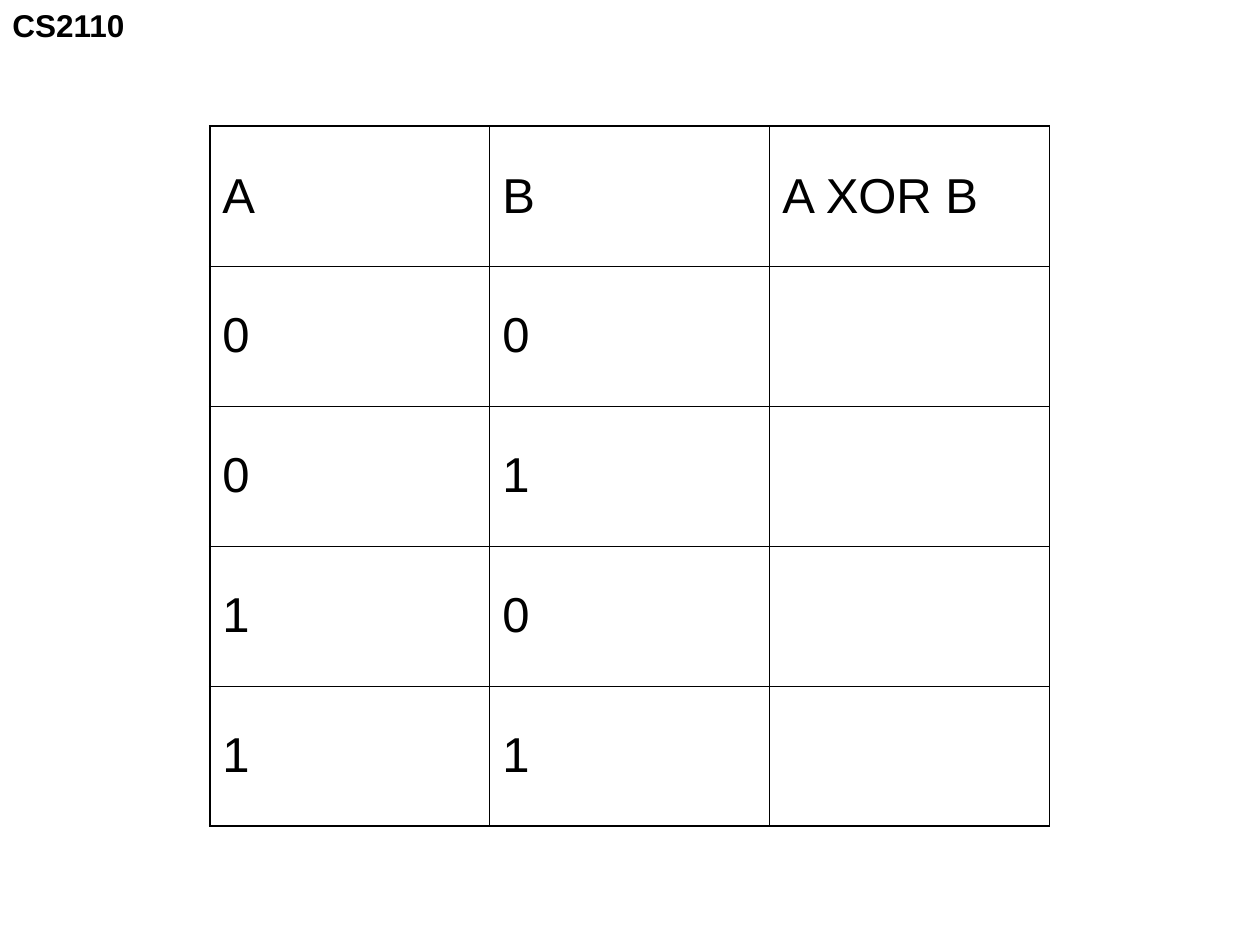
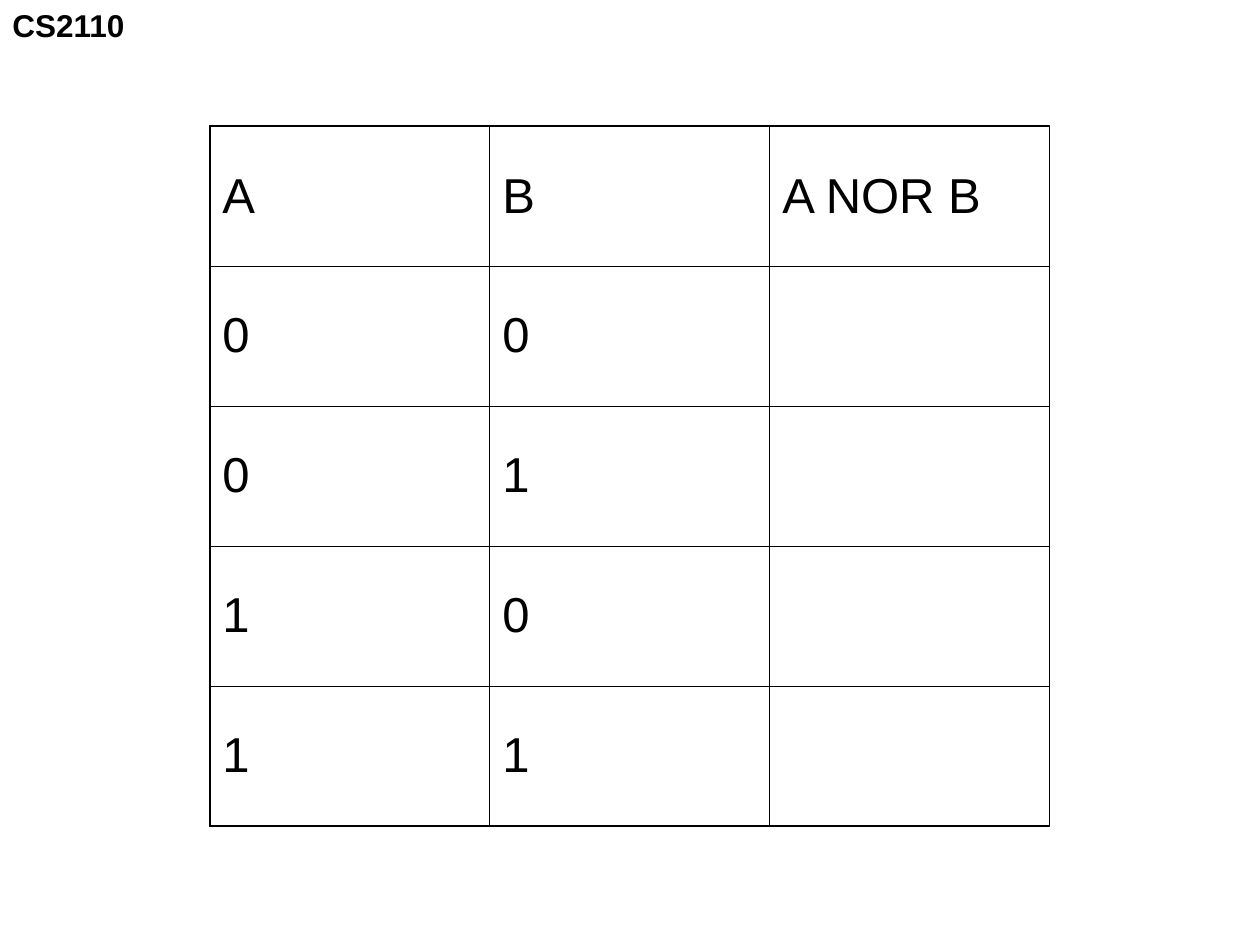
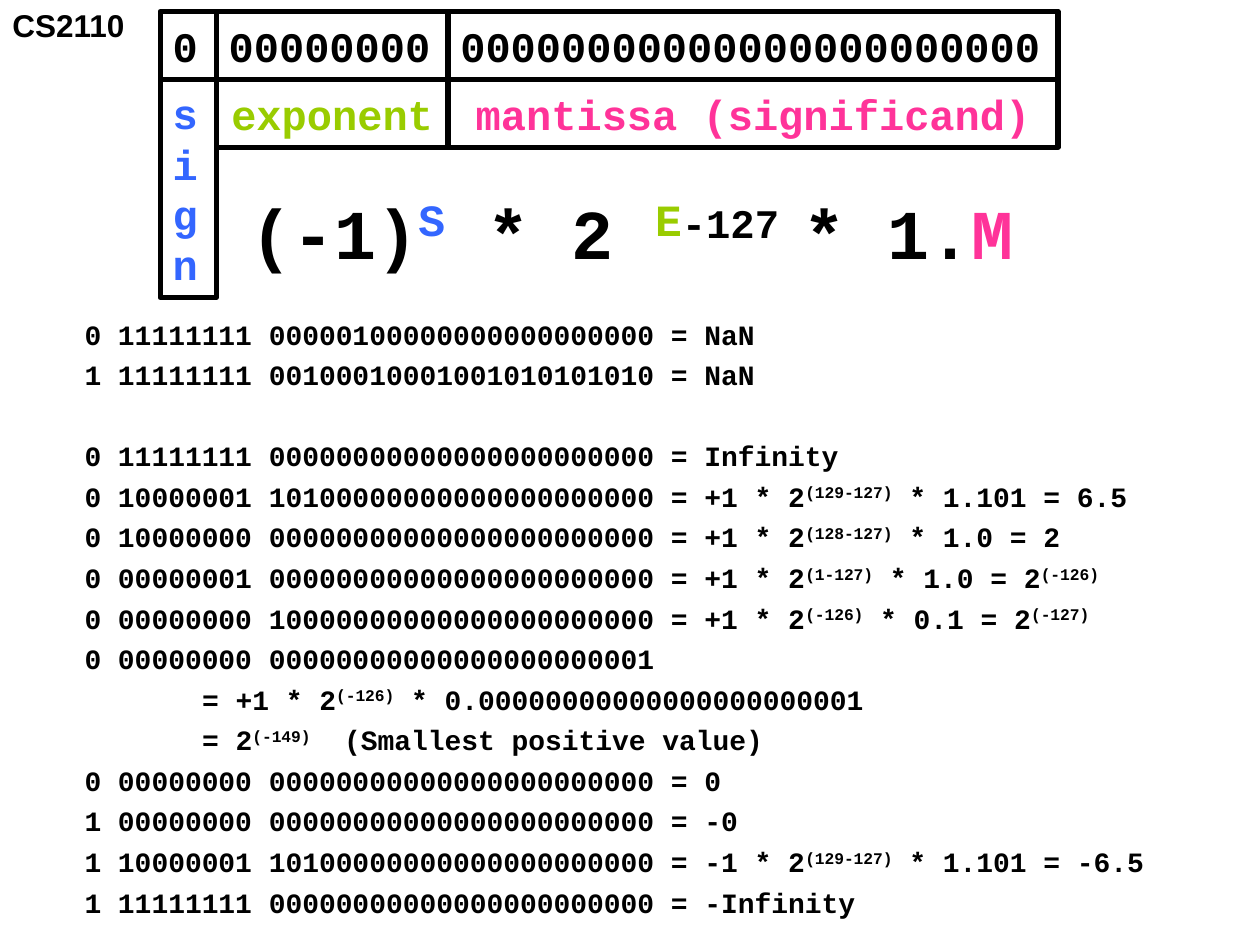
from lxml.etree import SubElement
from pptx import Presentation
from pptx.dml.color import RGBColor
from pptx.enum.shapes import MSO_SHAPE
from pptx.enum.text import MSO_ANCHOR, MSO_AUTO_SIZE, PP_ALIGN
from pptx.oxml.ns import qn
from pptx.util import Cm, Pt

BLACK = RGBColor(0x00, 0x00, 0x00)
BLUE = RGBColor(0x33, 0x66, 0xFF)
GREEN = RGBColor(0x99, 0xCC, 0x00)
PINK = RGBColor(0xFF, 0x33, 0x99)
SANS = "Arial"
MONO = "Courier New"

COURSE = "CS2110"
OPERATORS = ["XOR", "NOR"]
INPUTS = [("0", "0"), ("0", "1"), ("1", "0"), ("1", "1")]
THIN, THICK = Pt(0.45), Pt(1.08)

FIELD_COLUMNS = [(3.23, 1.13), (4.36, 4.67), (9.03, 12.3)]
FIELD_ROWS = [(0.23, 1.37), (1.6, 1.37)]
SIGN_HEIGHT = 4.4
FIELD_BITS = ["0", "0" * 8, "0" * 23]
FIELD_NAMES = [
    ("s\ni\ng\nn", BLUE, PP_ALIGN.LEFT),
    ("exponent", GREEN, PP_ALIGN.CENTER),
    ("mantissa (significand)", PINK, PP_ALIGN.CENTER),
]

FORMULA = [
    ("(-1)", 40, BLACK, False),
    ("S", 44, BLUE, True),
    (" * 2 ", 40, BLACK, False),
    ("E", 44, GREEN, True),
    ("-127 ", 40, BLACK, True),
    ("* 1.", 40, BLACK, False),
    ("M", 40, PINK, False),
]

NORMAL, AFTER_GAP, INDENTED = "normal", "after gap", "indented"
EXAMPLES = [
    (NORMAL, "0 11111111 00000100000000000000000 = NaN"),
    (NORMAL, "1 11111111 00100010001001010101010 = NaN"),
    (AFTER_GAP, "0 11111111 00000000000000000000000 = Infinity"),
    (NORMAL, "0 10000001 10100000000000000000000 = +1 * 2^(129-127)^ * 1.101 = 6.5"),
    (NORMAL, "0 10000000 00000000000000000000000 = +1 * 2^(128-127)^ * 1.0 = 2"),
    (NORMAL, "0 00000001 00000000000000000000000 = +1 * 2^(1-127)^ * 1.0 = 2^(-126)"),
    (NORMAL, "0 00000000 10000000000000000000000 = +1 * 2^(-126)^ * 0.1 = 2^(-127)"),
    (NORMAL, "0 00000000 00000000000000000000001"),
    (INDENTED, "= +1 * 2^(-126)^ * 0.00000000000000000000001"),
    (INDENTED, "= 2^(-149)^  (Smallest positive value)"),
    (NORMAL, "0 00000000 00000000000000000000000 = 0"),
    (NORMAL, "1 00000000 00000000000000000000000 = -0"),
    (NORMAL, "1 10000001 10100000000000000000000 = -1 * 2^(129-127)^ * 1.101 = -6.5"),
    (NORMAL, "1 11111111 00000000000000000000000 = -Infinity"),
]


def set_font(font, name, size, color=BLACK, bold=True):
    font.name = name
    font.size = Pt(size)
    font.bold = bold
    font.color.rgb = color


def add_run(paragraph, text, raised):
    run = paragraph.add_run()
    run.text = text
    if raised:
        run.font._element.set("baseline", "30000")
    return run


def add_course_label(presentation, slide):
    label = slide.shapes.add_textbox(Cm(0), Cm(0), Cm(2.8), Cm(1.02))
    label.text_frame.word_wrap = False
    label.text_frame.text = COURSE
    set_font(label.text_frame.paragraphs[0].font, SANS, 18)
    label.element.nvSpPr.cNvPr.set("id", "20")
    presentation.slide_master.shapes.element.append(label.element)


def set_borders(cell, widths):
    properties = cell._tc.get_or_add_tcPr()
    for side, width in zip("LRTB", widths):
        line = SubElement(properties, qn(f"a:ln{side}"), w=str(width))
        fill = SubElement(line, qn("a:solidFill"))
        SubElement(fill, qn("a:srgbClr"), val=str(BLACK))


def add_truth_table(slide, operator):
    rows = [("A", "B", f"A {operator} B")] + [(a, b, "") for a, b in INPUTS]
    last_row, last_column = len(rows) - 1, len(rows[0]) - 1
    table = slide.shapes.add_table(
        len(rows), len(rows[0]), Cm(4.23), Cm(2.54), Cm(16.93), Cm(14.11)
    ).table
    table.first_row = table.horz_banding = False
    for r, values in enumerate(rows):
        for c, value in enumerate(values):
            cell = table.cell(r, c)
            cell.text = value
            cell.vertical_anchor = MSO_ANCHOR.MIDDLE
            paragraph = cell.text_frame.paragraphs[0]
            paragraph.space_before = Pt(7)
            set_font(paragraph.font, SANS, 28, bold=False)
            outer = (c == 0, c == last_column, r == 0, r == last_row)
            set_borders(cell, [THICK if edge else THIN for edge in outer])
            cell.fill.background()


def add_field(slide, column, row, height, text, color=BLACK, alignment=PP_ALIGN.LEFT):
    left, width = column
    field = slide.shapes.add_shape(
        MSO_SHAPE.RECTANGLE, Cm(left), Cm(row[0]), Cm(width), Cm(height)
    )
    field.shadow.inherit = False
    field.fill.background()
    field.line.color.rgb = BLACK
    field.line.width = Pt(3)
    frame = field.text_frame
    frame.word_wrap = False
    frame.text = text
    for paragraph in frame.paragraphs:
        paragraph.alignment = alignment
        set_font(paragraph.font, MONO, 24, color)


def add_float_layout(slide):
    bits_row, names_row = FIELD_ROWS
    for column, bits in zip(FIELD_COLUMNS, FIELD_BITS):
        add_field(slide, column, bits_row, bits_row[1], bits)
    heights = [SIGN_HEIGHT, names_row[1], names_row[1]]
    for column, height, name in zip(FIELD_COLUMNS, heights, FIELD_NAMES):
        add_field(slide, column, names_row, height, *name)


def add_formula(slide):
    box = slide.shapes.add_textbox(Cm(4.8), Cm(3.56), Cm(15.88), Cm(2.13))
    box.text_frame.word_wrap = False
    paragraph = box.text_frame.paragraphs[0]
    for text, size, color, raised in FORMULA:
        set_font(add_run(paragraph, text, raised).font, MONO, size, color)


def fill_examples(body):
    body.left, body.top, body.width, body.height = Cm(1.45), Cm(6.27), Cm(22.3), Cm(12.4)
    frame = body.text_frame
    frame.auto_size = MSO_AUTO_SIZE.NONE
    frame.text = "\n".join("" for _ in EXAMPLES)
    for paragraph, (style, text) in zip(frame.paragraphs, EXAMPLES):
        paragraph.space_before = Pt(27 if style == AFTER_GAP else 4)
        set_font(paragraph.font, MONO, 16)
        properties = paragraph._p.get_or_add_pPr()
        properties.set("marL", str(Cm(2.37) if style == INDENTED else 0))
        properties.set("indent", "0")
        properties.insert_element_before(
            properties.makeelement(qn("a:buNone"), {}), "a:tabLst", "a:defRPr", "a:extLst"
        )
        for index, part in enumerate(text.split("^")):
            add_run(paragraph, part, raised=index % 2 == 1)


def main():
    presentation = Presentation()
    presentation.slide_width, presentation.slide_height = Cm(25.4), Cm(19.05)
    content_layout, blank_layout = (presentation.slide_layouts[i] for i in (1, 6))

    for operator in OPERATORS:
        add_truth_table(presentation.slides.add_slide(blank_layout), operator)

    slide = presentation.slides.add_slide(content_layout)
    title = slide.shapes.title.element
    title.getparent().remove(title)
    fill_examples(slide.placeholders[1])
    add_float_layout(slide)
    add_formula(slide)
    add_course_label(presentation, slide)

    presentation.save("out.pptx")


if __name__ == "__main__":
    main()
